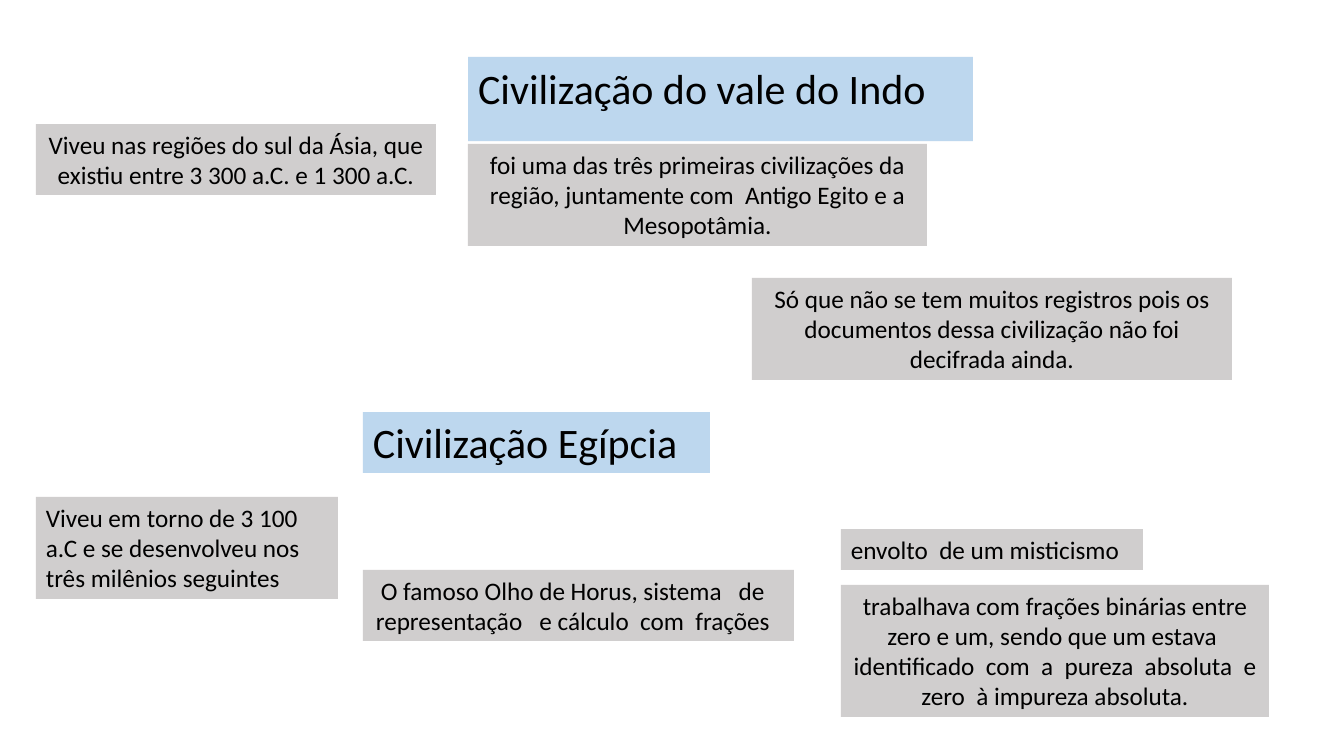
from pptx import Presentation, util as u
from pptx.dml.color import RGBColor
from pptx.enum import shapes, text

HUES = {"head": "BDD7EE", "note": "D0CECE", "ink": "000000"}
SIZES = {"head": 30, "note": 18}
LEFT, MID = text.PP_ALIGN.LEFT, text.PP_ALIGN.CENTER

HEADS = [
    ("Civilização do vale do Indo ", (468, 57, 505, 61)),
    ("Civilização Egípcia ", (363, 412, 347, 61)),
]
NOTES = [
    ("Viveu nas regiões do sul da Ásia, que existiu entre 3 300 a.C. e 1 300 a.C.",
     (36, 124, 400, 71), MID),
    ("foi uma das três primeiras civilizações da região, juntamente com  Antigo Egito "
     "e a Mesopotâmia.", (468, 144, 459, 102), MID),
    ("Só que não se tem muitos registros pois os documentos dessa civilização não foi "
     "decifrada ainda.", (752, 278, 480, 102), MID),
    ("O famoso Olho de Horus, sistema   de   representação   e cálculo  com  frações  ",
     (363, 570, 431, 71), MID),
    ("trabalhava com frações binárias entre zero e um, sendo que um estava  identificado  "
     "com  a  pureza  absoluta  e zero  à impureza absoluta.", (841, 585, 428, 132), MID),
    ("envolto  de um misticismo ", (841, 529, 302, 41), LEFT),
    ("Viveu em torno de 3 100 a.C e se desenvolveu nos três milênios seguintes",
     (36, 497, 302, 102), LEFT),
]


def px(n):
    return u.Emu(round(n * 914400 / 100.8))


def style(box, words, spot, kind, align):
    box.left, box.top, box.width, box.height = map(px, spot)
    box.fill.solid()
    box.fill.fore_color.rgb = RGBColor.from_string(HUES[kind])
    frame = box.text_frame
    frame.word_wrap = True
    frame.auto_size = text.MSO_AUTO_SIZE.SHAPE_TO_FIT_TEXT
    frame.vertical_anchor = text.MSO_ANCHOR.TOP
    para = frame.paragraphs[0]
    para.alignment = align
    run = para.add_run()
    run.text = words
    run.font.name = "Calibri"
    run.font.size = u.Pt(SIZES[kind])
    run.font.color.rgb = RGBColor.from_string(HUES["ink"])


def block(slide, words, spot, kind, align):
    box = slide.shapes.add_shape(shapes.MSO_SHAPE.RECTANGLE, *map(px, spot))
    box.shadow.inherit = False
    box.line.fill.background()
    style(box, words, spot, kind, align)


deck = Presentation()
deck.slide_width, deck.slide_height = px(1344), px(756)
slide = deck.slides.add_slide(deck.slide_layouts[5])

style(slide.shapes.title, *HEADS[0], "head", LEFT)
for words, spot in HEADS[1:]:
    block(slide, words, spot, "head", LEFT)
for words, spot, align in NOTES:
    block(slide, words, spot, "note", align)

deck.save("out.pptx")
